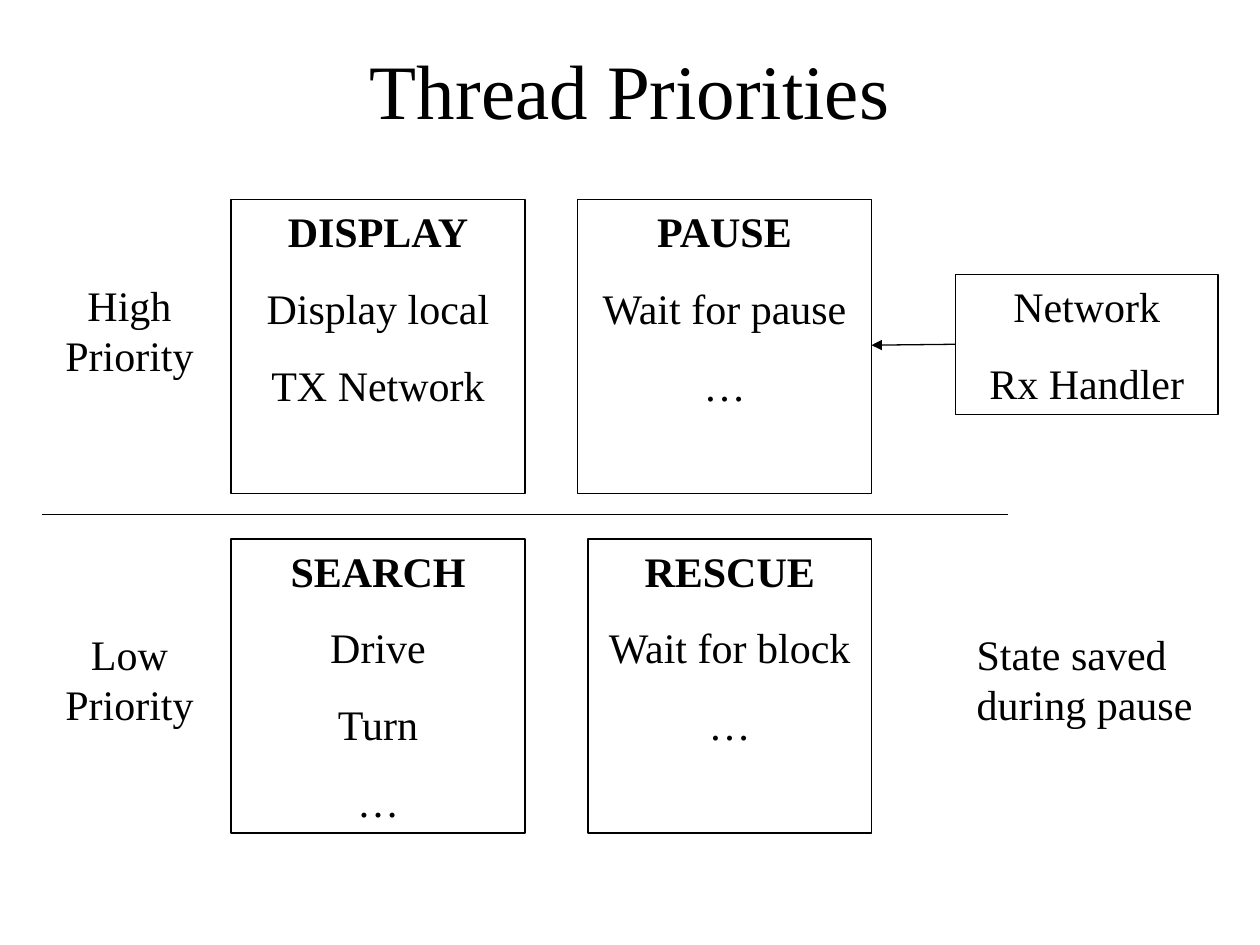
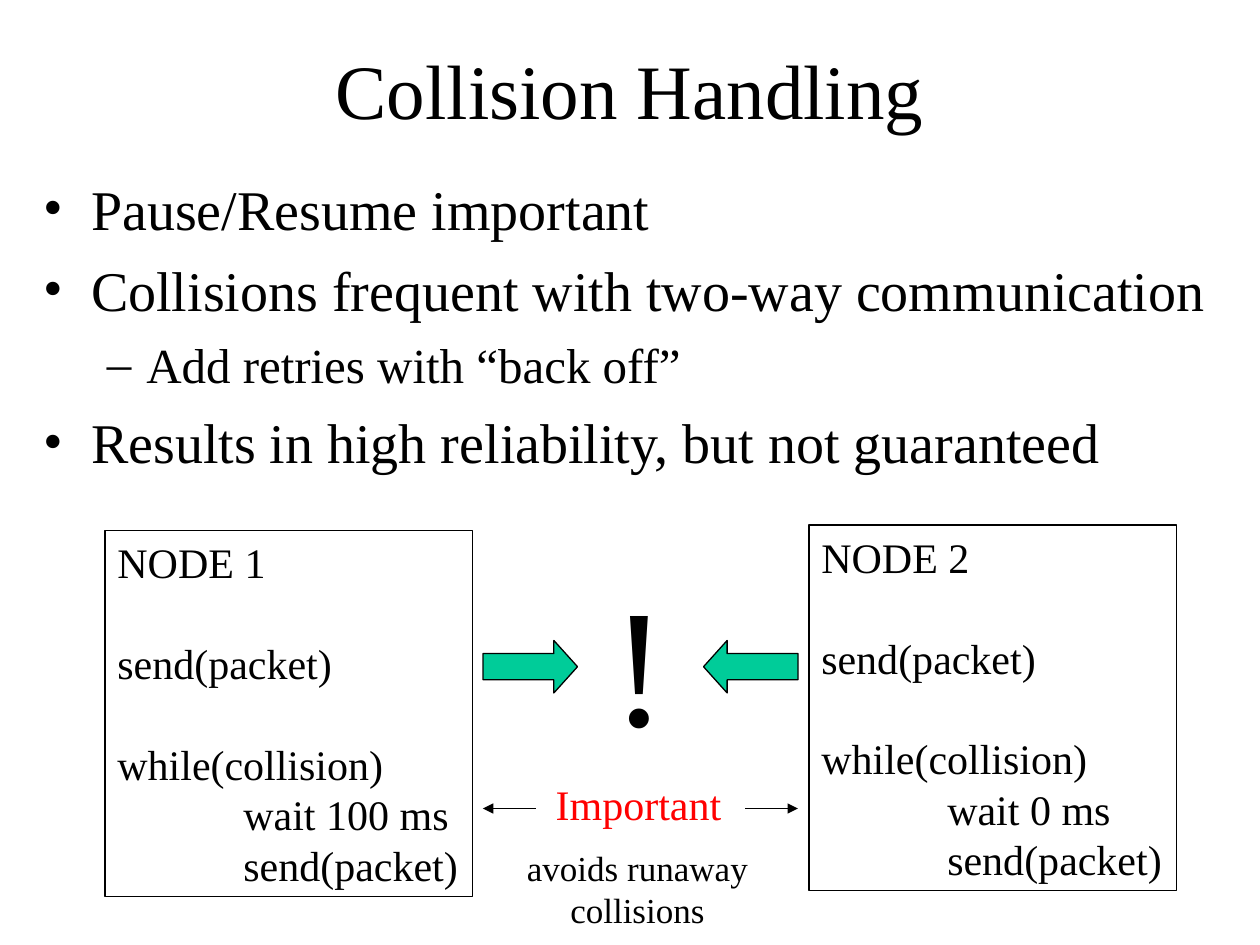
from lxml.etree import SubElement
from pptx import Presentation
from pptx.dml.color import RGBColor
from pptx.enum.shapes import MSO_CONNECTOR, MSO_SHAPE
from pptx.enum.text import MSO_ANCHOR, PP_ALIGN
from pptx.oxml.ns import qn
from pptx.util import Pt

BLACK = RGBColor(0, 0, 0)
RED = RGBColor(255, 0, 0)
GREEN = RGBColor(0, 204, 153)
FACE = "Times New Roman"
LEFT, MID = PP_ALIGN.LEFT, PP_ALIGN.CENTER
RULE = 0.75
ROW = 28.8


class Deck:
    """Holds the style and the current slide, and draws each kind of element."""

    def __init__(self):
        self.show = Presentation()
        self.show.slide_width, self.show.slide_height = Pt(720), Pt(540)

    def page(self, title):
        self.slide = self.show.slides.add_slide(self.show.slide_layouts[6])
        self.shapes = self.slide.shapes
        frame = self.text(54, 5.5, 612, 90, [title], 44, MID, wrap=True)
        frame.vertical_anchor = MSO_ANCHOR.MIDDLE

    def para(self, frame, words, size=24, align=LEFT, gap=0, bold=False,
             color=BLACK, left=0, hang=0, mark=None):
        first = not frame.text
        para = frame.paragraphs[0] if first else frame.add_paragraph()
        para.text = words
        para.alignment = align
        para.space_before = Pt(0 if first else gap)
        props = para._p.get_or_add_pPr()
        if left:
            props.set("marL", str(Pt(left)))
            props.set("indent", str(Pt(-hang)))
        if mark:
            SubElement(props, qn("a:buFont"), typeface=FACE)
            SubElement(props, qn("a:buChar"), char=mark)
        font = para.font
        font.name, font.size, font.bold = FACE, Pt(size), bold
        font.color.rgb = color

    def text(self, x, y, w, h, lines, size=24, align=LEFT, color=BLACK, wrap=False):
        frame = self.shapes.add_textbox(Pt(x), Pt(y), Pt(w), Pt(h)).text_frame
        frame.word_wrap = wrap
        for words in lines:
            self.para(frame, words, size, align, color=color)
        return frame

    def shape(self, kind, x, y, w, h, fill=None):
        shape = self.shapes.add_shape(kind, Pt(x), Pt(y), Pt(w), Pt(h))
        shape.shadow.inherit = False
        if fill is None:
            shape.fill.background()
        else:
            shape.fill.solid()
            shape.fill.fore_color.rgb = fill
        shape.line.color.rgb = BLACK
        shape.line.width = Pt(RULE)
        return shape

    def box(self, x, y, w, h):
        frame = self.shape(MSO_SHAPE.RECTANGLE, x, y, w, h).text_frame
        frame.vertical_anchor = MSO_ANCHOR.TOP
        frame.word_wrap = True
        return frame

    def task(self, x, y, w, h, lines, head=None):
        frame = self.box(x, y, w, h)
        if head:
            self.para(frame, head, align=MID, bold=True)
        for words in lines:
            self.para(frame, words, align=MID, gap=15)

    def node(self, x, y, name, delay):
        frame = self.box(x, y, 210, 209)
        for words in (name, "send(packet)", "while(collision)"):
            self.para(frame, words, gap=ROW)
        for words in (f"wait {delay} ms", "send(packet)"):
            self.para(frame, words, left=72)

    def points(self, x, y, w, h, items):
        frame = self.text(x, y, w, h, [], wrap=True)
        for level, words in items:
            if level:
                self.para(frame, words, 28, gap=7, left=58.5, hang=22.5, mark="–")
            else:
                self.para(frame, words, 32, gap=8, left=27, hang=27, mark="•")

    def arrow(self, kind, x, y):
        shape = self.shape(kind, x, y, 54, 30, GREEN)
        shape.adjustments[0], shape.adjustments[1] = 0.5, 0.45

    def line(self, x, y, to_x, to_y, tip=True):
        line = self.shapes.add_connector(
            MSO_CONNECTOR.STRAIGHT, Pt(x), Pt(y), Pt(to_x), Pt(to_y))
        line.line.color.rgb = BLACK
        line.line.width = Pt(RULE)
        if tip:
            SubElement(line.line._get_or_add_ln(), qn("a:tailEnd"), type="triangle")
        SubElement(line._element.spPr, qn("a:effectLst"))


def threads(deck):
    deck.page("Thread Priorities")
    high, low, side = 114, 308, 168
    deck.task(132, low, side, side, ["Drive", "Turn", "…"], "SEARCH")
    deck.task(336, low, 162, side, ["Wait for block", "…"], "RESCUE")
    deck.task(330, high, side, side, ["Wait for pause", "…"], "PAUSE")
    deck.task(546, 157, 150, 80, ["Network", "Rx Handler"])
    deck.task(132, high, side, side, ["Display local", "TX Network"], "DISPLAY")
    deck.line(546, 196.75, 498, 197.25)
    for word, y in (("High", 156), ("Low", 355.5)):
        deck.text(30, y, 88, 65, [word, "Priority"], align=MID)
    deck.line(24, 294, 576, 294, tip=False)
    deck.text(551, 355.5, 140, 65, ["State saved", "during pause"])


def clashes(deck):
    deck.page("Collision Handling")
    deck.points(18, 96, 702, 324, [
        (0, "Pause/Resume important"),
        (0, "Collisions frequent with two-way communication"),
        (1, "Add retries with “back off”"),
        (0, "Results in high reliability, but not guaranteed"),
    ])
    deck.node(60, 303.25, "NODE 1", 100)
    deck.node(462.25, 300, "NODE 2", 0)
    deck.text(310.5, 441.5, 114, 36, ["Important"], color=RED, wrap=True)
    deck.line(306, 462, 276, 462)
    deck.line(426, 462, 456, 462)
    deck.arrow(MSO_SHAPE.LEFT_ARROW, 402, 366)
    deck.arrow(MSO_SHAPE.RIGHT_ARROW, 276, 366)
    deck.text(342.5, 315.5, 46, 122.5, ["!"], 96)
    deck.text(294, 480, 140.5, 55.5, ["avoids runaway", "collisions"], 20, MID)


def main():
    deck = Deck()
    threads(deck)
    clashes(deck)
    deck.show.save("out.pptx")


if __name__ == "__main__":
    main()
